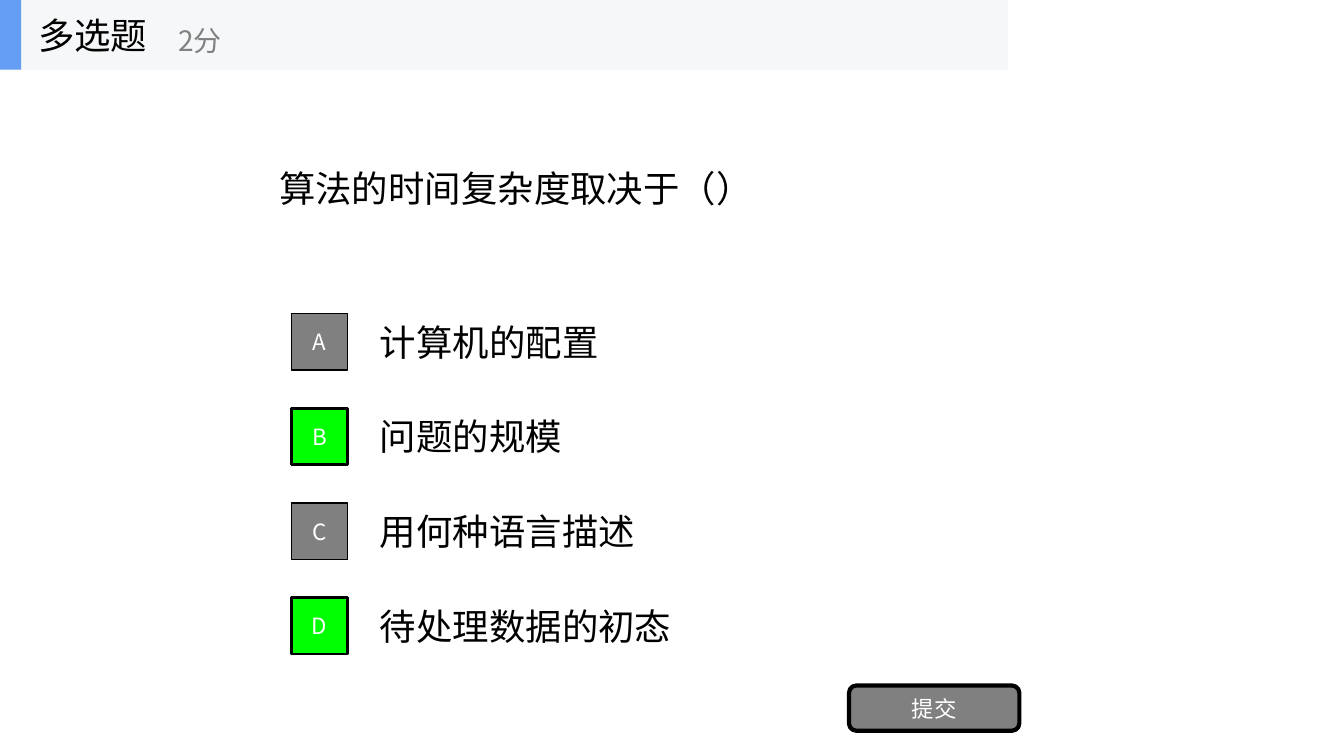
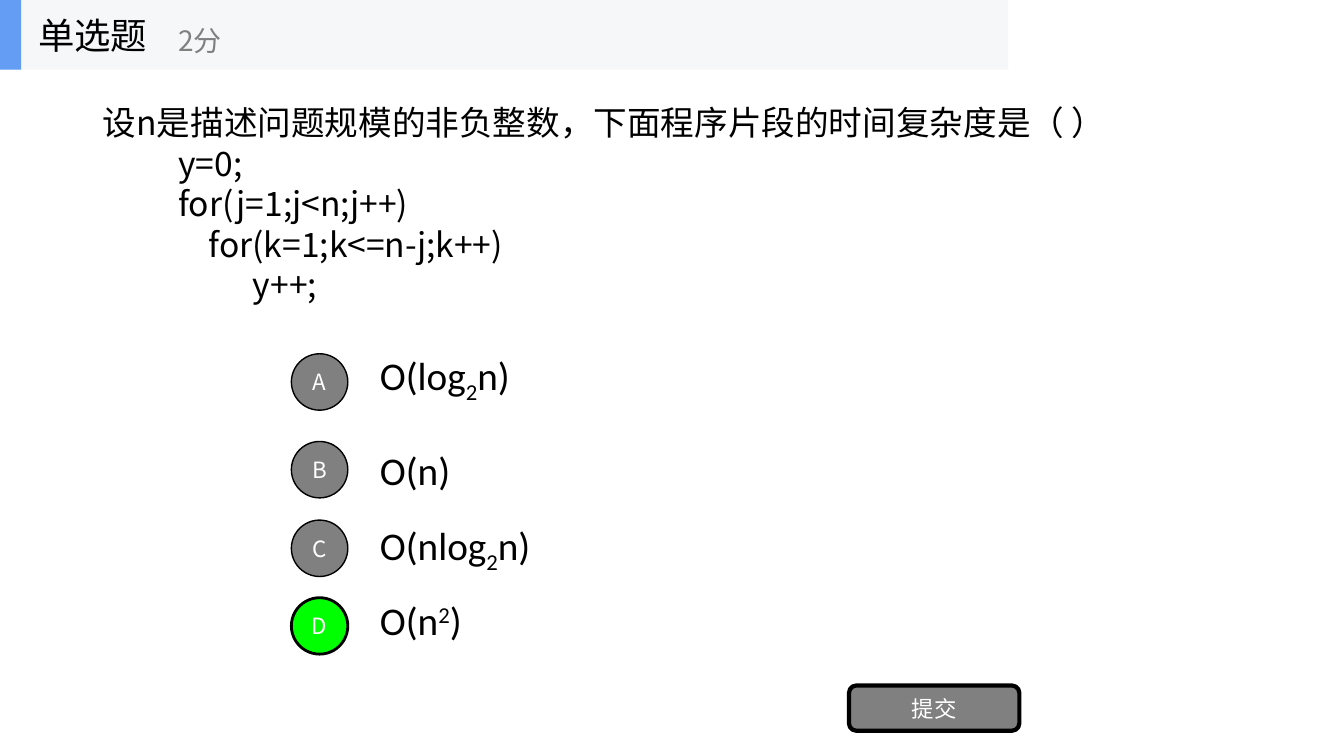
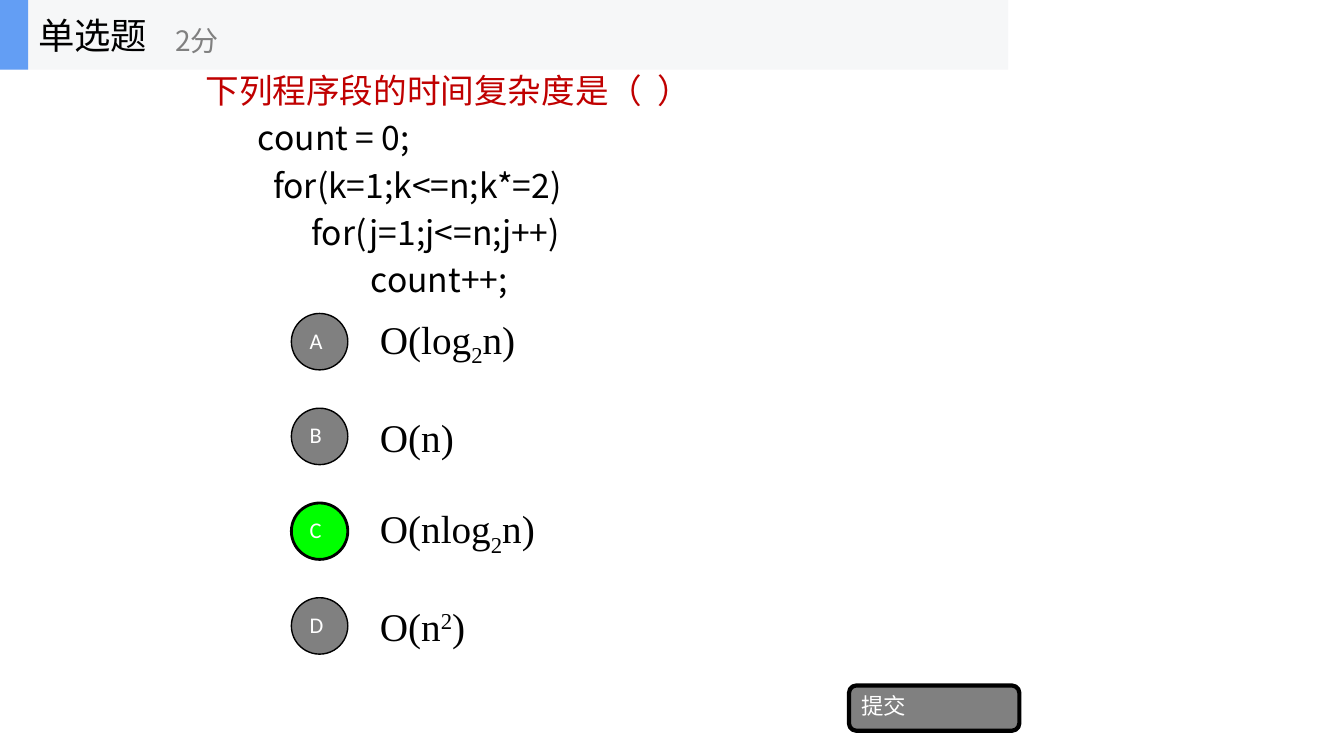
import pptx
import pptx.dml.color
import pptx.enum.shapes
import pptx.enum.text
import pptx.oxml
import pptx.oxml.ns
import pptx.util

Inches = pptx.util.Inches
Pt = pptx.util.Pt
RGBColor = pptx.dml.color.RGBColor
Shape = pptx.enum.shapes.MSO_SHAPE
Align = pptx.enum.text.PP_ALIGN
Anchor = pptx.enum.text.MSO_ANCHOR

BLACK = RGBColor(0x00, 0x00, 0x00)
WHITE = RGBColor(0xFF, 0xFF, 0xFF)
GREY = RGBColor(0x80, 0x80, 0x80)
GREEN = RGBColor(0x00, 0xFF, 0x00)
RED = RGBColor(0xC0, 0x00, 0x00)
BAND = RGBColor(0xF6, 0xF7, 0xF8)
BLUE = RGBColor(0x63, 0x9E, 0xF4)

SANS = "Noto Sans CJK SC"
CALIBRI = "Calibri"
TIMES = "Times New Roman"

SUBSCRIPT, SUPERSCRIPT = -25000, 30000
EVEN_TOPS = [3.11 + 0.94 * row for row in range(4)]
COMPLEXITIES = [
    [("O(log", 0), ("2", SUBSCRIPT), ("n)", 0)],
    [("O(n)", 0)],
    [("O(nlog", 0), ("2", SUBSCRIPT), ("n)", 0)],
    [("O(n", 0), ("2", SUPERSCRIPT), (")", 0)],
]


class Quiz:
    """Holds the shared style and the slide being built."""

    def __init__(self):
        self.presentation = pptx.Presentation()
        self.presentation.slide_width = Inches(13.33)
        self.presentation.slide_height = Inches(7.5)
        self.slide = None

    def new_slide(self):
        self.slide = self.presentation.slides.add_slide(self.presentation.slide_layouts[6])

    def format_run(self, run, size, font, colour, baseline=0):
        run.font.size = Pt(size)
        run.font.name = font
        run.font.color.rgb = colour
        properties = run._r.get_or_add_rPr()
        if baseline:
            properties.set("baseline", str(baseline))
        east_asian = pptx.oxml.parse_xml(
            f'<a:ea {pptx.oxml.ns.nsdecls("a")} typeface="{SANS}"/>')
        properties.find(pptx.oxml.ns.qn("a:latin")).addnext(east_asian)

    def text_box(self, box, text, size, font=SANS, colour=BLACK, shapes=None):
        shapes = self.slide.shapes if shapes is None else shapes
        text_frame = shapes.add_textbox(*map(Inches, box)).text_frame
        text_frame.word_wrap = True
        text_frame.vertical_anchor = Anchor.MIDDLE
        text_frame.text = text
        for paragraph in text_frame.paragraphs:
            for run in paragraph.runs:
                self.format_run(run, size, font, colour)
        return text_frame

    def filled_shape(self, kind, box, fill, line_width=0, shapes=None):
        shapes = self.slide.shapes if shapes is None else shapes
        shape = shapes.add_shape(kind, *map(Inches, box))
        shape.shadow.inherit = False
        shape.fill.solid()
        shape.fill.fore_color.rgb = fill
        if line_width:
            shape.line.color.rgb = BLACK
            shape.line.width = Pt(line_width)
        else:
            shape.line.fill.background()
        return shape

    def label(self, shape, text, font, centred):
        text_frame = shape.text_frame
        text_frame.text = text
        text_frame.vertical_anchor = Anchor.MIDDLE if centred else Anchor.TOP
        paragraph = text_frame.paragraphs[0]
        paragraph.alignment = Align.CENTER if centred else Align.LEFT
        self.format_run(paragraph.runs[0], 16, font, WHITE)

    def question(self, box, title, code, title_colour=BLACK, gap=0):
        """Writes a title line and code lines given as (indent, text)."""
        lines = [(0, title)] + code
        text_frame = self.text_box(box, "\n".join(text for _, text in lines), 24)
        for paragraph, (indent, _) in zip(text_frame.paragraphs, lines):
            paragraph.line_spacing = Pt(29)
            paragraph.space_before = Pt(gap)
            paragraph._p.get_or_add_pPr().set("marL", str(Inches(indent)))
        text_frame.paragraphs[0].runs[0].font.color.rgb = title_colour

    def option_text(self, top, pieces, size, font):
        text_frame = self.text_box((3.67, top, 7, 0.7), "", size)
        for text, baseline in pieces:
            run = text_frame.paragraphs[0].add_run()
            run.text = text
            self.format_run(run, size, font, BLACK, baseline)

    def options(self, choices, answers, kind, tops=EVEN_TOPS, text_tops=None,
                size=28, font=SANS, label_font=SANS, centred=True):
        text_tops = text_tops or [top - 0.07 for top in tops]
        for top, pieces in zip(text_tops, choices):
            self.option_text(top, pieces, size, font)
        for letter, top in zip("ABCD", tops):
            correct = letter in answers
            badge = self.filled_shape(kind, (2.89, top, 0.56, 0.56),
                                      GREEN if correct else GREY, 2 if correct else 1)
            self.label(badge, letter, label_font, centred)

    def submit_button(self, font=SANS, centred=True):
        button = self.filled_shape(Shape.ROUNDED_RECTANGLE, (8.42, 6.8, 1.69, 0.45), GREY, 3)
        self.label(button, "提交", font, centred)

    def header(self, title, font=SANS, accent_width=0.21, score_left=1.67):
        shapes = self.slide.shapes.add_group_shape().shapes
        self.filled_shape(Shape.RECTANGLE, (0, 0, 10, 0.69), BAND, shapes=shapes)
        self.filled_shape(Shape.RECTANGLE, (0, 0, accent_width, 0.69), BLUE, shapes=shapes)
        self.text_box((0.28, 0, 1.39, 0.69), title, 26, font, shapes=shapes)
        self.text_box((score_left, 0.12, 2.5, 0.56), "2分", 20, colour=GREY, shapes=shapes)


def main():
    quiz = Quiz()

    # Multiple choice: what time complexity depends on
    quiz.new_slide()
    quiz.text_box((2.67, 0.69, 8, 2.34), "算法的时间复杂度取决于（）", 26)
    factors = ["计算机的配置", "问题的规模", "用何种语言描述", "待处理数据的初态"]
    quiz.options([[(factor, 0)] for factor in factors], "BD", Shape.RECTANGLE, size=26)
    quiz.submit_button()
    quiz.header("多选题")

    # Single choice: nested loop with a shrinking range
    quiz.new_slide()
    quiz.question((0.92, 0.6, 10.72, 2.83),
                  "设n是描述问题规模的非负整数，下面程序片段的时间复杂度是（ ）",
                  [(0.75, "y=0;"), (0.75, "for(j=1;j<n;j++)"),
                   (1.05, "for(k=1;k<=n-j;k++)"), (1.49, "y++;")])
    quiz.options(COMPLEXITIES, "D", Shape.OVAL, tops=[3.51, 4.38, 5.16, 5.93],
                 text_tops=[3.4, 4.31, 5.09, 5.8], font=CALIBRI)
    quiz.submit_button()
    quiz.header("单选题")

    # Single choice: nested loop with a doubling counter
    quiz.new_slide()
    quiz.question((1.94, 0.66, 8.16, 2.34), "下列程序段的时间复杂度是（  ）",
                  [(0.52, "count = 0;"), (0.67, "for(k=1;k<=n;k*=2)"),
                   (1.05, "for(j=1;j<=n;j++)"), (1.64, "count++;")],
                  title_colour=RED, gap=4.8)
    quiz.options(COMPLEXITIES, "C", Shape.OVAL, font=TIMES, label_font=CALIBRI, centred=False)
    quiz.submit_button(CALIBRI, centred=False)
    quiz.header("单选题", CALIBRI, accent_width=0.28, score_left=1.64)

    quiz.presentation.save("out.pptx")


if __name__ == "__main__":
    main()
